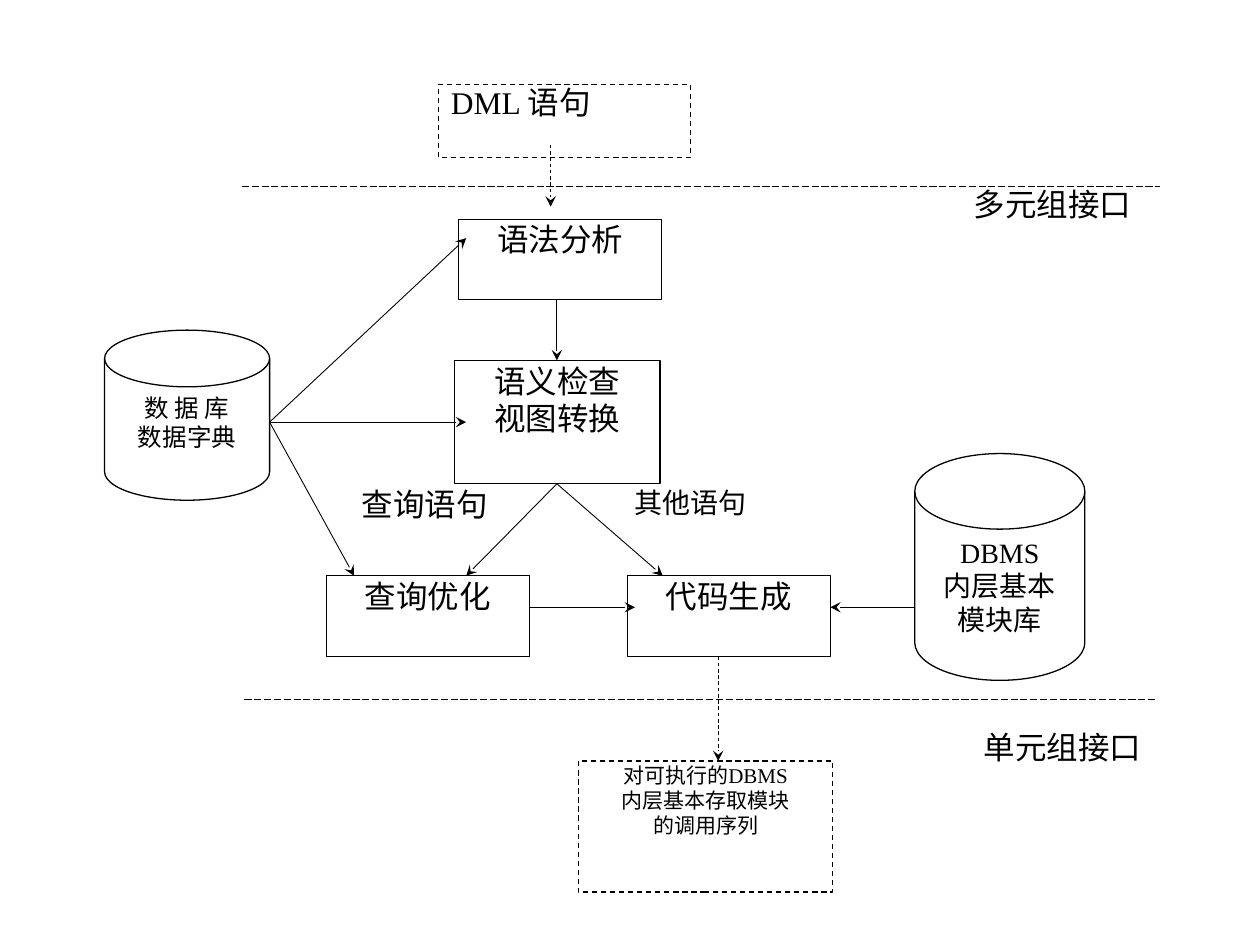
from lxml.etree import SubElement
from pptx import Presentation
from pptx.dml.color import RGBColor
from pptx.enum.dml import MSO_LINE
from pptx.enum.shapes import MSO_CONNECTOR, MSO_SHAPE
from pptx.enum.text import MSO_ANCHOR, PP_ALIGN
from pptx.oxml.ns import qn
from pptx.util import Inches, Pt

BLACK = RGBColor(0, 0, 0)
WHITE = RGBColor(255, 255, 255)
FONT = "Times New Roman"


def write_text(shape, text, size=18, align=PP_ALIGN.CENTER, margin=0.01, spacing=None):
    """Write one paragraph for each line of text."""
    frame = shape.text_frame
    frame.word_wrap = True
    frame.vertical_anchor = MSO_ANCHOR.TOP
    frame.margin_left = frame.margin_right = Inches(0.1)
    frame.margin_top = frame.margin_bottom = Inches(margin)
    frame.text = text
    for paragraph in frame.paragraphs:
        paragraph.alignment = align
        if spacing:
            paragraph.line_spacing = spacing
        paragraph.font.name = FONT
        paragraph.font.size = Pt(size)
        paragraph.font.color.rgb = BLACK


class Diagram:
    def __init__(self, slide):
        self.slide = slide

    def box(self, text, place, kind=MSO_SHAPE.RECTANGLE, fill=WHITE, line=BLACK,
            dash=None, **text_format):
        shape = self.slide.shapes.add_shape(kind, *map(Inches, place))
        shape.shadow.inherit = False
        if fill is None:
            shape.fill.background()
        else:
            shape.fill.solid()
            shape.fill.fore_color.rgb = fill
        if line is None:
            shape.line.fill.background()
        else:
            shape.line.color.rgb = line
            shape.line.width = Pt(0.75)
            shape.line.dash_style = dash
        write_text(shape, text, **text_format)

    def database(self, text, place, size):
        self.box(text, place, kind=MSO_SHAPE.FLOWCHART_MAGNETIC_DISK, size=size, margin=0.05)

    def label(self, text, place, **text_format):
        textbox = self.slide.shapes.add_textbox(*map(Inches, place))
        write_text(textbox, text, **text_format)

    def line(self, start, end, dash=None, arrow=True):
        connector = self.slide.shapes.add_connector(
            MSO_CONNECTOR.STRAIGHT, *map(Inches, start + end))
        connector.line.color.rgb = BLACK
        connector.line.width = Pt(0.5)
        connector.line.dash_style = dash
        properties = connector._element.spPr
        if arrow:
            SubElement(properties.find(qn("a:ln")), qn("a:tailEnd"), type="stealth")
        SubElement(properties, qn("a:effectLst"))


def main():
    presentation = Presentation()
    presentation.slide_width = Inches(10)
    presentation.slide_height = Inches(7.5)
    slide = presentation.slides.add_slide(presentation.slide_layouts[6])
    diagram = Diagram(slide)

    # Branch labels lie behind the boxes and arrows.
    diagram.box("其他语句", (4.81, 3.84, 1.34, 0.64), line=None, size=16)
    diagram.box("查询语句", (2.59, 3.84, 1.56, 0.64), line=None)

    diagram.box("DML 语句", (3.48, 0.67, 2, 0.58), fill=None, dash=MSO_LINE.DASH,
                align=PP_ALIGN.JUSTIFY, spacing=0.96)
    diagram.box("对可执行的DBMS\n内层基本存取模块\n的调用序列", (4.59, 6.04, 2.02, 1.04),
                dash=MSO_LINE.DASH, size=12)
    diagram.box("语义检查\n视图转换", (3.61, 2.86, 1.63, 0.98))
    for text, left, top in (("语法分析", 3.64, 1.74), ("查询优化", 2.59, 4.57),
                            ("代码生成", 4.98, 4.57)):
        diagram.box(text, (left, top, 1.61, 0.64))

    diagram.database("数 据 库\n数据字典", (0.83, 2.62, 1.31, 1.35), size=14)
    diagram.database("DBMS\n内层基本\n模块库", (7.26, 3.6, 1.35, 1.8), size=16)

    diagram.box("单元组接口", (7.71, 5.79, 1.78, 0.62), line=WHITE,
                align=PP_ALIGN.JUSTIFY, spacing=0.96)
    diagram.label("多元组接口", (7.63, 1.46, 1.87, 0.68), align=PP_ALIGN.JUSTIFY)
    for left, right, y in ((1.92, 9.21, 1.48), (1.94, 9.17, 5.55)):
        diagram.line((left, y), (right, y), dash=MSO_LINE.LONG_DASH, arrow=False)

    dictionary_side = (2.14, 3.35)
    for target in ((3.7, 1.89), (3.7, 3.35), (2.81, 4.57)):
        diagram.line(dictionary_side, target)

    check_bottom = (4.42, 3.84)
    for target in ((3.7, 4.57), (5.26, 4.57)):
        diagram.line(check_bottom, target)

    diagram.line((4.42, 2.38), (4.42, 2.86))
    diagram.line((4.2, 4.82), (5.04, 4.82))
    diagram.line((7.26, 4.82), (6.59, 4.82))
    diagram.line((4.37, 1.15), (4.37, 1.64), dash=MSO_LINE.DASH)
    diagram.line((5.7, 5.21), (5.7, 6.04), dash=MSO_LINE.DASH)

    presentation.save("out.pptx")


if __name__ == "__main__":
    main()
